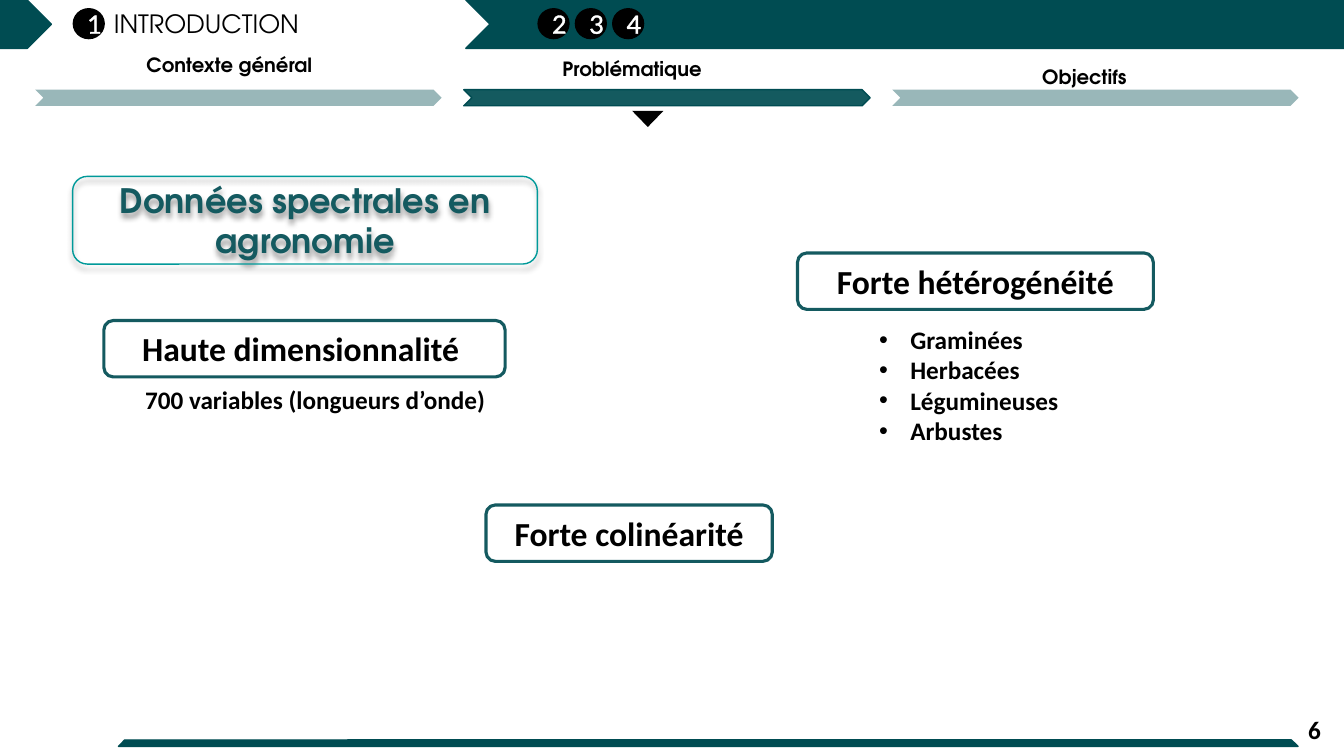
from dataclasses import dataclass

from lxml.etree import SubElement
from pptx import Presentation
from pptx.dml.color import RGBColor
from pptx.enum.shapes import MSO_SHAPE
from pptx.enum.text import MSO_ANCHOR, PP_ALIGN
from pptx.oxml import parse_xml
from pptx.oxml.ns import nsdecls, qn
from pptx.util import Inches, Pt


@dataclass(frozen=True)
class Theme:
    teal: str = "004C52"
    slate: str = "145A60"
    aqua: str = "009999"
    black: str = "000000"
    white: str = "FFFFFF"
    heading_font: str = "TeX Gyre Adventor"
    body_font: str = "Calibri"
    number_font: str = "Lato"
    large: int = 24
    normal: int = 18
    small: int = 14


THEME = Theme()


def color(code):
    return RGBColor.from_string(code)


def add_shape(slide, kind, box, fill=None, line=None, line_width=1, opacity=100):
    shape = slide.shapes.add_shape(kind, *map(Inches, box))
    shape.shadow.inherit = False
    if fill:
        shape.fill.solid()
        shape.fill.fore_color.rgb = color(fill)
        if opacity < 100:
            tint = shape.fill._xPr.find(".//" + qn("a:srgbClr"))
            SubElement(tint, qn("a:alpha"), val=str(opacity * 1000))
    else:
        shape.fill.background()
    if line:
        shape.line.color.rgb = color(line)
        shape.line.width = Pt(line_width)
    else:
        shape.line.fill.background()
    return shape


def write(shape, text, size, font, ink=THEME.black, bold=True,
          align=PP_ALIGN.CENTER, anchor=MSO_ANCHOR.TOP, wrap=True):
    frame = shape.text_frame
    frame.text = text
    frame.word_wrap = wrap
    frame.vertical_anchor = anchor
    for para in frame.paragraphs:
        para.alignment = align
        for span in para.runs:
            span.font.size = Pt(size)
            span.font.name = font
            span.font.bold = bold
            span.font.color.rgb = color(ink)


def add_text(slide, box, text, size, font, **style):
    shape = slide.shapes.add_textbox(*map(Inches, box))
    write(shape, text, size, font, **style)
    return shape


def add_number(slide, box, number):
    """Black disc holding an outlined white section number."""
    disc = add_shape(slide, MSO_SHAPE.OVAL, box, THEME.black)
    write(disc, number, THEME.normal, THEME.number_font, THEME.white,
          bold=False, anchor=MSO_ANCHOR.MIDDLE)
    properties = disc.text_frame.paragraphs[0].runs[0].font._element
    properties.insert(0, parse_xml(
        f'<a:ln {nsdecls("a")} w="{Pt(1.45)}"><a:solidFill>'
        f'<a:srgbClr val="{THEME.white}"/></a:solidFill></a:ln>'))


def add_section_bar(slide, box):
    left, top, width, height = box
    add_shape(slide, MSO_SHAPE.CHEVRON, (left + 4.62, top, 9.09, height),
              THEME.teal, THEME.teal)
    add_shape(slide, MSO_SHAPE.PENTAGON, (left, top, 0.51, height),
              THEME.teal, THEME.teal)

    title = slide.shapes.title
    title.left, title.top = Inches(left + 1.03), Inches(top + 0.03)
    title.width, title.height = Inches(4.24), Inches(0.4)
    write(title, "INTRODUCTION", THEME.normal, THEME.heading_font,
          bold=False, align=PP_ALIGN.LEFT)

    for number, offset in zip("1234", (0.72, 5.33, 5.7, 6.07)):
        add_number(slide, (left + offset, top + 0.08, 0.32, 0.31), number)


def add_step_bar(slide, box):
    left, top, width, height = box
    steps = [
        ("Contexte général", (0.99, 0, 1.87), False),
        ("Problématique", (5.12, 0.04, 1.6), False),
        ("Objectifs", (8.19, 0.11, 4.43), True),
    ]
    current = 1
    step_width, gap = 4.03, 0.22
    for index, (name, (x, y, label_width), wrap) in enumerate(steps):
        active = index == current
        arrow = (left + index * (step_width + gap), top + 0.41, step_width, 0.16)
        add_shape(slide, MSO_SHAPE.CHEVRON, arrow, THEME.teal,
                  THEME.teal if active else None, opacity=92 if active else 40)
        add_text(slide, (left + x, top + y, label_width, 0.34), name,
                 THEME.small, THEME.heading_font, wrap=wrap)
    marker = add_shape(slide, MSO_SHAPE.ISOSCELES_TRIANGLE,
                       (left + 5.92, top + 0.62, 0.31, 0.16), THEME.black)
    marker.rotation = 180


def add_topic(slide, box):
    topic = add_shape(slide, MSO_SHAPE.ROUNDED_RECTANGLE, box, line=THEME.aqua)
    write(topic, "Données spectrales en agronomie", THEME.large,
          THEME.heading_font, THEME.slate, anchor=MSO_ANCHOR.MIDDLE)
    effects = topic._element.spPr.find(qn("a:effectLst"))
    effects.append(parse_xml(
        f'<a:outerShdw {nsdecls("a")} blurRad="{Pt(4)}" dist="{Pt(3)}" '
        f'dir="5400000" algn="t" rotWithShape="0"><a:srgbClr val="{THEME.black}">'
        '<a:alpha val="40000"/></a:srgbClr></a:outerShdw>'))


def add_issue(slide, box, name):
    label = add_shape(slide, MSO_SHAPE.ROUNDED_RECTANGLE, box,
                      THEME.white, THEME.slate, 2.25)
    write(label, name, THEME.large, THEME.body_font)


def add_details(slide, box, lines, bulleted=False):
    details = add_text(slide, box, "\n".join(lines), THEME.normal,
                       THEME.body_font, align=PP_ALIGN.LEFT)
    if bulleted:
        indent = Inches(0.31)
        for para in details.text_frame.paragraphs:
            properties = para._p.get_or_add_pPr()
            properties.set("marL", str(indent))
            properties.set("indent", str(-indent))
            SubElement(properties, qn("a:buFont"), typeface="Arial")
            SubElement(properties, qn("a:buChar"), char="•")


def add_issues(slide, box):
    left, top, width, height = box
    add_issue(slide, (left, top + 0.67, 3.98, 0.56), "Haute dimensionnalité ")
    add_details(slide, (left + 0.31, top + 1.25, 3.68, 0.4),
                ["700 variables (longueurs d’onde)"])
    add_issue(slide, (left + 3.79, top + 2.5, 2.84, 0.56), "Forte colinéarité")
    add_issue(slide, (left + 6.88, top, 3.53, 0.56), "Forte hétérogénéité")
    add_details(slide, (left + 7.59, top + 0.66, 3.68, 1.31),
                ["Graminées", "Herbacées", "Légumineuses", "Arbustes"],
                bulleted=True)


def add_footer(slide, box):
    """Thin turned stripe along the bottom edge, with the page number."""
    left, top, width, height = box
    stripe = add_shape(slide, MSO_SHAPE.DIAGONAL_STRIPE,
                       (left + 2.79, top - 3.67, 8.47, 8.07),
                       THEME.teal, THEME.teal)
    stripe.adjustments[0] = 0.989
    stripe.rotation = 43.6
    add_text(slide, (left + width - 3.13, top, 3, height), "6", THEME.normal,
             THEME.body_font, align=PP_ALIGN.RIGHT, anchor=MSO_ANCHOR.MIDDLE)


def main():
    deck = Presentation()
    deck.slide_width, deck.slide_height = Inches(13.33), Inches(7.5)
    slide = deck.slides.add_slide(deck.slide_layouts[5])
    add_section_bar(slide, (0, 0, 13.33, 0.48))
    add_step_bar(slide, (0.35, 0.48, 12.53, 0.78))
    add_footer(slide, (0, 7.04, 13.33, 0.4))
    add_topic(slide, (0.72, 1.75, 4.61, 0.87))
    add_issues(slide, (1.03, 2.51, 11.27, 3.06))
    deck.save("out.pptx")


if __name__ == "__main__":
    main()
